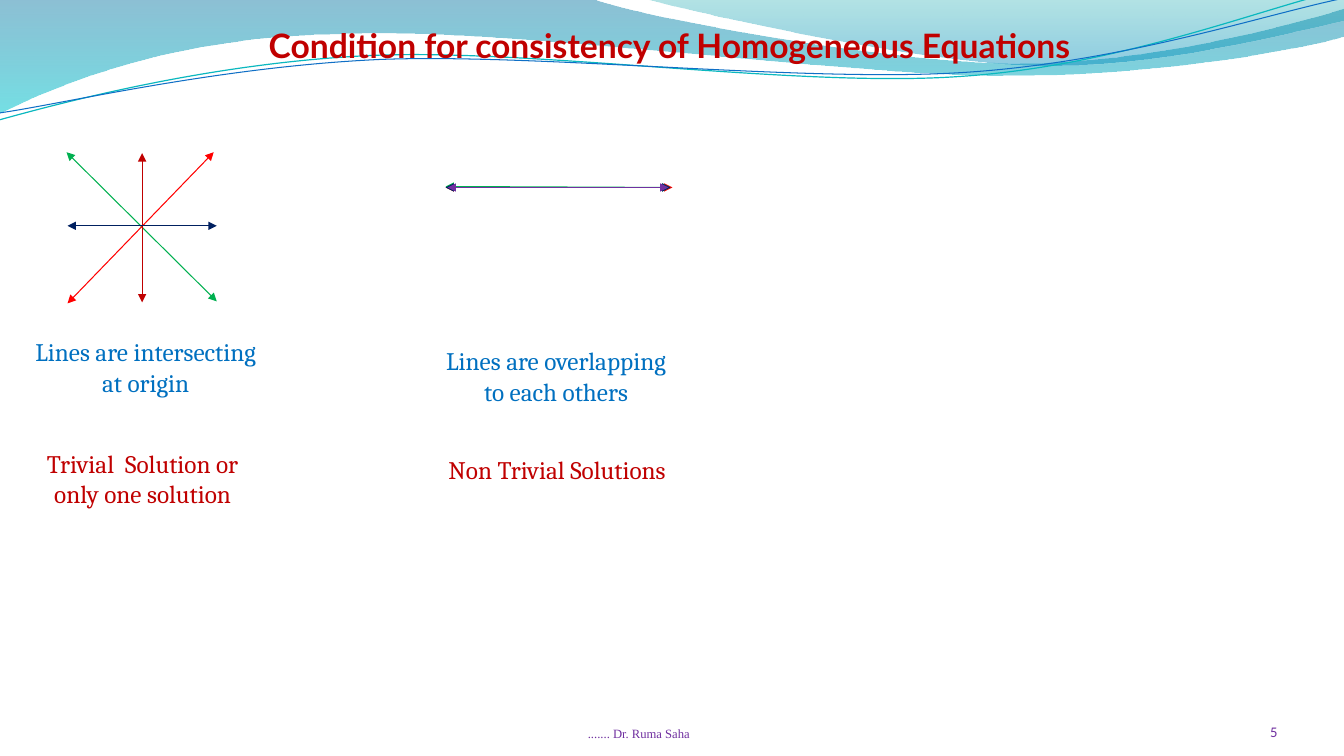
from dataclasses import dataclass
from pptx import Presentation, util as u
from pptx.dml.color import RGBColor
from pptx.enum import shapes, text
from pptx.oxml.ns import qn
from lxml import etree


@dataclass(frozen=True)
class Theme:
    red: str = "C00000"
    blue: str = "0070C0"
    plum: str = "7030A0"
    navy: str = "002060"
    green: str = "00B050"
    bright: str = "FF0000"
    head: float = 24
    body: float = 18
    page: float = 10.5
    foot: float = 9
    thin: float = 0.75


T = Theme()
WIDE, HIGH = 13.33, 7.5
TITLE = "Condition for consistency of Homogeneous Equations"

# A wave is a list of points: 2 numbers draw a straight edge, 6 draw a curve.
BANDS = [
    ([(0, 0), (5.87, -0.01), (6.34, 0.17, 8.85, 0.63, 10.11, 0.63),
      (11.38, 0.63, 12.78, 0.26, 13.33, 0.09), (13.35, 0.36),
      (13.11, 0.44, 11.6, 0.76, 9.94, 0.75), (8.29, 0.75, 5.09, 0.28, 3.43, 0.34),
      (1.72, 0.36, 0.61, 0.83, -0.01, 1.13)],
     [("0074A1", 45), ("00C6CF", 55)]),
    ([(6.39, -0.01), (6.79, 0.11, 9.09, 0.62, 10.25, 0.65),
      (11.41, 0.69, 12.82, 0.32, 13.33, 0.21), (13.33, 0)],
     [("00A1A9", 30), ("008BBF", 45)]),
]
STRANDS = [
    ([(-0.01, 1.19), (0.64, 1.01, 2.11, 0.62, 3.69, 0.55),
      (5.27, 0.48, 7.9, 0.87, 9.5, 0.76), (11.1, 0.66, 12.52, 0.08, 13.31, -0.1)],
     "0AB8BF", 0.85),
    ([(0, 1.12), (0.63, 1.03, 2.18, 0.66, 3.78, 0.59),
      (5.37, 0.53, 7.96, 0.82, 9.55, 0.72), (11.15, 0.62, 12.55, 0.14, 13.34, -0.02)],
     "0F6FC6", 0.75),
]
ARROWS = [
    (0.66, 1.51, 2.15, 2.99, T.green),
    (0.67, 3.01, 2.12, 1.51, T.bright),
    (1.41, 1.52, 1.41, 3.0, T.red),
    (0.67, 2.24, 2.15, 2.24, T.navy),
    (4.42, 1.86, 6.67, 1.86, T.bright),
    (4.42, 1.85, 6.65, 1.86, T.green),
    (4.42, 1.86, 6.65, 1.86, T.navy),
    (4.44, 1.86, 6.63, 1.86, T.plum),
]
LABEL = 2.41
LABELS = [
    ("Lines are intersecting at origin", 0.24, 3.29, 1.01, T.blue),
    ("Lines are overlapping to each others", 4.31, 3.38, 1.01, T.blue),
    ("Trivial  Solution or only one solution", 0.21, 4.4, 0.71, T.red),
    ("Non Trivial Solutions", 4.32, 4.46, 0.71, T.red),
]
FOOT = dict(top=6.95, high=0.4, color=T.plum, inset=0, anchor="BOTTOM")


def write(shape, words, left, top, wide, high, size=T.body, color=T.red,
          font="Cambria", bold=False, align="CENTER", anchor="TOP", inset=None):
    shape.left, shape.top, shape.width, shape.height = map(u.Inches, (left, top, wide, high))
    frame = shape.text_frame
    frame.word_wrap = True
    frame.auto_size = text.MSO_AUTO_SIZE.NONE
    frame.vertical_anchor = text.MSO_ANCHOR[anchor]
    if inset is not None:
        frame.margin_left = frame.margin_right = u.Inches(inset)
        frame.margin_top = frame.margin_bottom = u.Inches(inset)
    line = frame.paragraphs[0]
    line.alignment = text.PP_ALIGN[align]
    run = line.add_run()
    run.text = words
    run.font.name, run.font.size, run.font.bold = font, u.Pt(size), bold
    run.font.color.rgb = RGBColor.from_string(color)


def wave(slide, points, closed):
    """Draw all points as edges, then merge each three edges of a curve."""
    dots = [(round(item[k] * 100), round(item[k + 1] * 100))
            for item in points for k in range(0, len(item), 2)]
    pen = slide.shapes.build_freeform(*dots[0], scale=u.Inches(0.01))
    pen.add_line_segments(dots[1:], close=closed)
    shape = pen.convert_to_shape()
    shape.shadow.inherit = False
    edges = iter(list(shape._element.iter(qn("a:lnTo"))))
    for item in points[1:]:
        edge = next(edges)
        if len(item) == 6:
            curve = etree.Element(qn("a:cubicBezTo"))
            edge.addprevious(curve)
            for part in (edge, next(edges), next(edges)):
                curve.append(part[0])
                part.getparent().remove(part)
    return shape


def band(slide, points, stops):
    shape = wave(slide, points, True)
    shape.line.fill.background()
    shape.fill.gradient()
    shape.fill.gradient_angle = 270
    for stop, (color, share) in zip(shape.fill.gradient_stops, stops):
        stop.color.rgb = RGBColor.from_string(color)
    tints = shape._element.spPr.iter(qn("a:srgbClr"))
    for tint, (color, share) in zip(tints, stops):
        etree.SubElement(tint, qn("a:alpha"), val=str(share * 1000))


def ink(shape, color, width):
    shape.line.color.rgb = RGBColor.from_string(color)
    shape.line.width = u.Pt(width)


def strand(slide, points, color, width):
    shape = wave(slide, points, False)
    shape.fill.background()
    ink(shape, color, width)


def arrow(slide, x1, y1, x2, y2, color):
    line = slide.shapes.add_connector(shapes.MSO_CONNECTOR.STRAIGHT,
                                      *map(u.Inches, (x1, y1, x2, y2)))
    ink(line, color, T.thin)
    for end in ("a:headEnd", "a:tailEnd"):
        etree.SubElement(line._element.spPr.find(qn("a:ln")), qn(end), type="triangle")
    etree.SubElement(line._element.spPr, qn("a:effectLst"))


def main():
    deck = Presentation()
    deck.slide_width, deck.slide_height = u.Inches(WIDE), u.Inches(HIGH)
    slide = deck.slides.add_slide(deck.slide_layouts[5])

    for item in BANDS:
        band(slide, *item)
    for item in STRANDS:
        strand(slide, *item)

    title = slide.shapes.title
    title._element.getparent().append(title._element)  # in front of the waves
    write(title, TITLE, 0.26, 0.2, 12.76, 0.5, size=T.head, font="Lato", bold=True)

    for item in ARROWS:
        arrow(slide, *item)

    def box(words, **style):
        write(slide.shapes.add_textbox(0, 0, 0, 0), words, **style)

    for words, left, top, high, color in LABELS:
        box(words, left=left, top=top, wide=LABEL, high=high, color=color)
    box("....... Dr. Ruma Saha", left=3.89, wide=4.89, size=T.foot,
        font="Times New Roman", **FOOT)
    box("5", left=11.56, wide=1.11, size=T.page, font="Calibri", align="RIGHT", **FOOT)

    deck.save("out.pptx")


if __name__ == "__main__":
    main()
